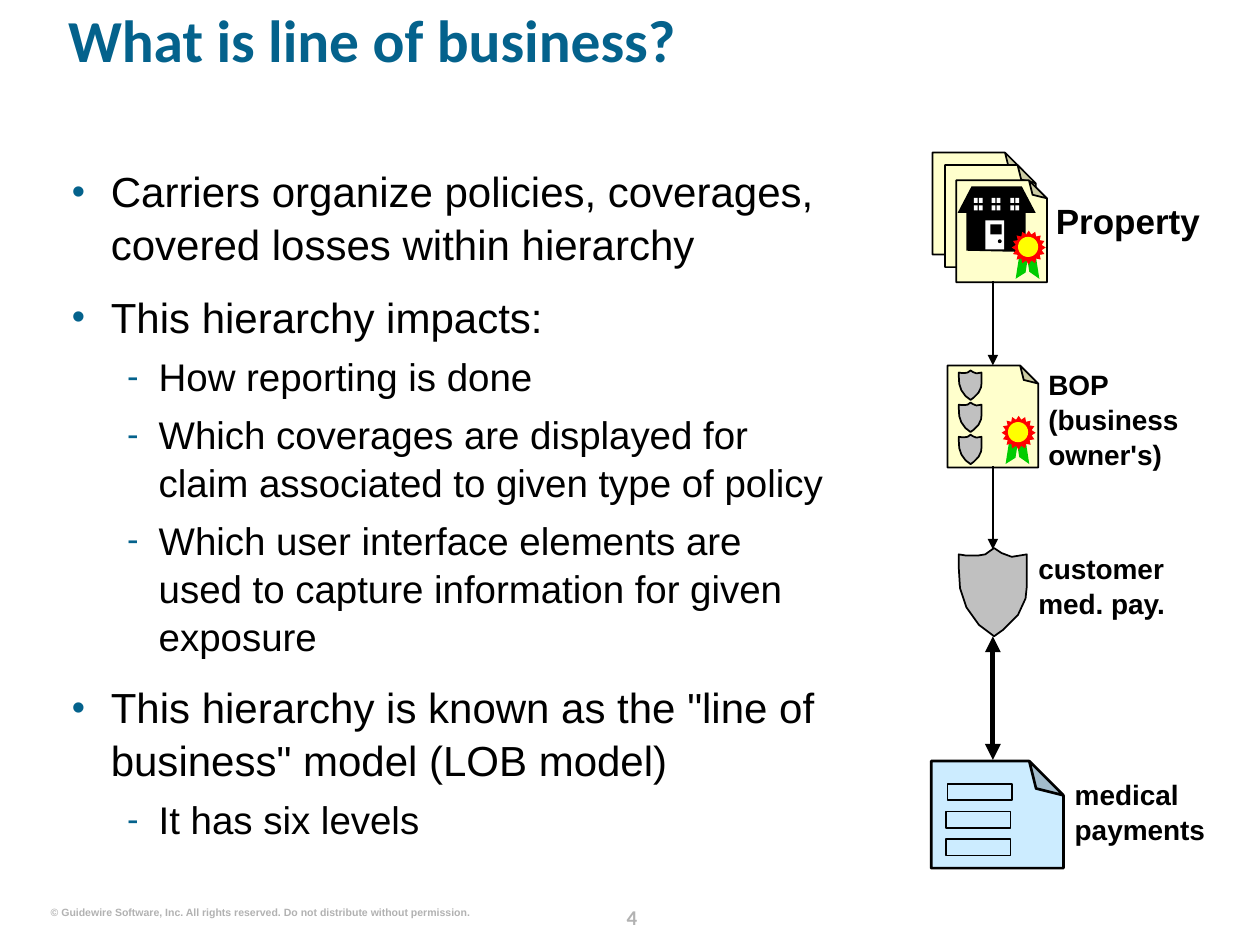
from math import cos, pi, sin

from lxml.etree import SubElement
from pptx import Presentation
from pptx.dml.color import RGBColor
from pptx.enum.shapes import MSO_CONNECTOR, MSO_SHAPE
from pptx.enum.text import PP_ALIGN
from pptx.oxml.ns import qn
from pptx.util import Pt

PX = 9144  # EMU per px, 100 px to the inch
HEX = {
    "teal": "04628C", "black": "000000", "white": "FFFFFF", "mute": "B2B2B2",
    "cream": "FFFFCC", "steel": "C0C0C0", "sky": "CCECFF",
    "green": "00CC00", "red": "FF0000", "gold": "FFFF00",
}
SHIELD = [(28, 70), (16, 61), (6, 47), (1, 32), (0, 16), (0, 5), (6, 6),
          (15, 6), (21, 5), (28, 0), (34, 4), (42, 7), (54, 5), (54, 30),
          (53, 40), (47, 53), (35, 65)]
HOUSE = [(51, 0), (11, 0), (0, 21), (7, 21), (7, 51), (54, 52), (54, 21), (62, 21)]
BODY = [
    (0, "Carriers organize policies, coverages, covered losses within hierarchy"),
    (0, "This hierarchy impacts:"),
    (1, "How reporting is done"),
    (1, "Which coverages are displayed for claim associated to given type of policy"),
    (1, "Which user interface elements are used to capture information for given exposure"),
    (0, "This hierarchy is known as the \"line of business\" model (LOB model)"),
    (1, "It has six levels"),
]


def emu(*nums):
    return [round(n * PX) for n in nums]


def tint(name):
    return RGBColor.from_string(HEX[name])


def paint(shape, fill, line=0):
    shape.shadow.inherit = False
    if fill:
        shape.fill.solid()
        shape.fill.fore_color.rgb = tint(fill)
    else:
        shape.fill.background()
    if line:
        shape.line.color.rgb = tint("black")
        shape.line.width = Pt(line)
    else:
        shape.line.fill.background()
    return shape


def block(parts, kind, box, fill, line=0):
    return paint(parts.add_shape(kind, *emu(*box)), fill, line)


def trace(parts, x, y, dots, fill, line=0, scale=1):
    """Closed outline whose dots are relative to x, y."""
    spots = [emu(x + a * scale, y + b * scale) for a, b in dots]
    pen = parts.build_freeform(*spots[0], scale=1.0)
    pen.add_line_segments(spots[1:], close=True)
    return paint(pen.convert_to_shape(), fill, line)


def flip(shape):
    shape._element.spPr.find(qn("a:xfrm")).set("flipH", "1")


def fold(shape, ratio):
    """Set the size of a folded corner, which has no public adjustment."""
    geom = shape._element.spPr.find(qn("a:prstGeom"))
    guide = SubElement(geom.find(qn("a:avLst")), qn("a:gd"))
    guide.set("name", "adj")
    guide.set("fmla", f"val {round(ratio * 100000)}")


def frame(parts, box, wrap=True):
    text = parts.add_textbox(*emu(*box)).text_frame
    text.margin_left = text.margin_right = text.margin_top = text.margin_bottom = 0
    text.word_wrap = wrap
    return text


def write(para, words, size, color, bold=True, face="Arial"):
    for i, row in enumerate(words.split("\n")):
        if i:
            para.add_line_break()
        run = para.add_run()
        run.text = row
        font = run.font
        font.size, font.bold, font.name = Pt(size), bold, face
        font.color.rgb = tint(color)


def bullet(para, level):
    props = para._p.get_or_add_pPr()
    left, hang = [(31, 31), (69, 25)][level]
    props.set("marL", str(left * PX))
    props.set("indent", str(-hang * PX))
    SubElement(SubElement(props, qn("a:buClr")), qn("a:srgbClr")).set("val", HEX["teal"])
    SubElement(props, qn("a:buSzPct")).set("val", "90000")
    SubElement(props, qn("a:buFont")).set("typeface", "Arial")
    SubElement(props, qn("a:buChar")).set("char", "•-"[level])


def title(parts, box):
    para = frame(parts, box).paragraphs[0]
    para.line_spacing = 0.8
    write(para, "What is line of business?", 34, "teal", face="Calibri")


def body(parts, box):
    text = frame(parts, box)
    for i, (level, words) in enumerate(BODY):
        para = text.add_paragraph() if i else text.paragraphs[0]
        bullet(para, level)
        para.level = level
        para.line_spacing = 1.04
        para.space_before = Pt([12, 5.5][level] if i else 0)
        write(para, words, [24, 22][level], "black", bold=False)


def footer(parts, note, page):
    para = frame(parts, note, wrap=False).paragraphs[0]
    para.alignment = PP_ALIGN.RIGHT
    write(para, "© Guidewire Software, Inc. All rights reserved. "
          "Do not distribute without permission.", 6, "mute")
    para = frame(parts, page).paragraphs[0]
    para.alignment = PP_ALIGN.CENTER
    para.line_spacing = Pt(18)
    write(para, "4", 12, "mute", face="Calibri")


def label(parts, box, words, size=16):
    para = frame(parts, box).paragraphs[0]
    para.line_spacing = 1.04
    write(para, words, size, "black")


def sheet(parts, x, y, w=72, h=81):
    """Upright page with its fold at the top right."""
    slip = (w - h) / 2
    page = block(parts, MSO_SHAPE.FOLDED_CORNER, (x + slip, y - slip, h, w), "cream", 1)
    fold(page, 0.2)
    page.rotation = 270


def shield(parts, x, y, w):
    trace(parts, x, y, SHIELD, "steel", 1, w / 54)


def award(parts, x, y):
    # ribbon tails
    for dx, turn, skew in ((-4, 278.9, 0.88), (4, 81.1, 0.97)):
        tail = block(parts, MSO_SHAPE.PARALLELOGRAM, (x + dx, y + 23, 25, 7), "green")
        tail.adjustments[0] = skew
        tail.rotation = turn
        if dx < 0:
            flip(tail)
    # sixteen-point star and its centre
    star = []
    for i in range(32):
        reach, turn = (10.5 if i % 2 else 13.5), i * pi / 16
        star.append((13.5 - reach * cos(turn), 13.5 - reach * sin(turn)))
    trace(parts, x, y, star, "red")
    block(parts, MSO_SHAPE.OVAL, (x + 5, y + 5, 16, 16), "gold")


def house(parts, x, y):
    trace(parts, x, y, HOUSE, "black")
    block(parts, MSO_SHAPE.RECTANGLE, (x + 22, y + 27, 15, 23), "white")
    block(parts, MSO_SHAPE.RECTANGLE, (x + 26, y + 30, 9, 8), "black")
    block(parts, MSO_SHAPE.OVAL, (x + 32, y + 42, 3, 3), "black")
    # three windows of four panes
    for left in (13, 27, 42):
        for dx in (0, 4):
            for dy in (9, 15):
                block(parts, MSO_SHAPE.RECTANGLE, (x + left + dx, y + dy, 3, 4), "white")


def estate(parts, x, y):
    for dx, dy in ((0, 0), (10, 10), (19, 22)):
        sheet(parts, x + dx, y + dy)
    house(parts.add_group_shape().shapes, x + 20, y + 27)
    award(parts.add_group_shape().shapes, x + 63, y + 62)


def policy(parts, x, y):
    group = parts.add_group_shape().shapes
    sheet(group, x, y)
    for i in range(3):
        shield(group, x + 9, y + 4 + 25.5 * i, 18)
    award(group, x + 43, y + 40)


def form(parts, x, y):
    page = block(parts, MSO_SHAPE.FOLDED_CORNER, (x, y, 105, 85), "sky", 1.5)
    fold(page, 0.32)
    page.rotation = 180
    flip(page)
    for i, dx in enumerate((13, 12, 12)):
        block(parts, MSO_SHAPE.RECTANGLE, (x + dx, y + 18 + 22 * i, 51, 13), None, 1)


def arrow(parts, x, top, end, width, tips):
    line = parts.add_connector(MSO_CONNECTOR.STRAIGHT, *emu(x, top, x, end))
    line.line.color.rgb = tint("black")
    line.line.width = Pt(width)
    props = line._element.spPr
    for tip in tips:
        SubElement(props.find(qn("a:ln")), qn("a:" + tip)).set("type", "triangle")
    SubElement(props, qn("a:effectLst"))


def chain(parts, x, y):
    """Property, policy, coverage and payment, from top to bottom."""
    estate(parts, x, y)
    policy(parts, x + 12, y + 169)
    shield(parts, x + 21, y + 314, 54)
    form(parts, x - 1, y + 483)
    mid = x + 48
    arrow(parts, mid, y + 102, y + 169, 1, ["tailEnd"])
    arrow(parts, mid, y + 249, y + 315, 1, ["tailEnd"])
    arrow(parts, mid, y + 384, y + 482, 3, ["headEnd", "tailEnd"])
    label(parts, (x + 98, y + 36, 117, 33), "Property", 20)
    label(parts, (x + 92, y + 170, 116, 80), "BOP\n(business\nowner's)")
    label(parts, (x + 84, y + 316, 132, 53), "customer\nmed. pay.")
    label(parts, (x + 113, y + 495, 130, 53), "medical\npayments")


def main():
    deck = Presentation()
    deck.slide_width, deck.slide_height = emu(1000, 750)
    parts = deck.slides.add_slide(deck.slide_layouts[6]).shapes
    footer(parts, (40, 719, 333, 10), (473, 713, 57, 25))
    title(parts, (54, 13, 910, 81))
    body(parts, (57, 130, 606, 568))
    chain(parts, 740, 121)
    deck.save("out.pptx")


if __name__ == "__main__":
    main()
